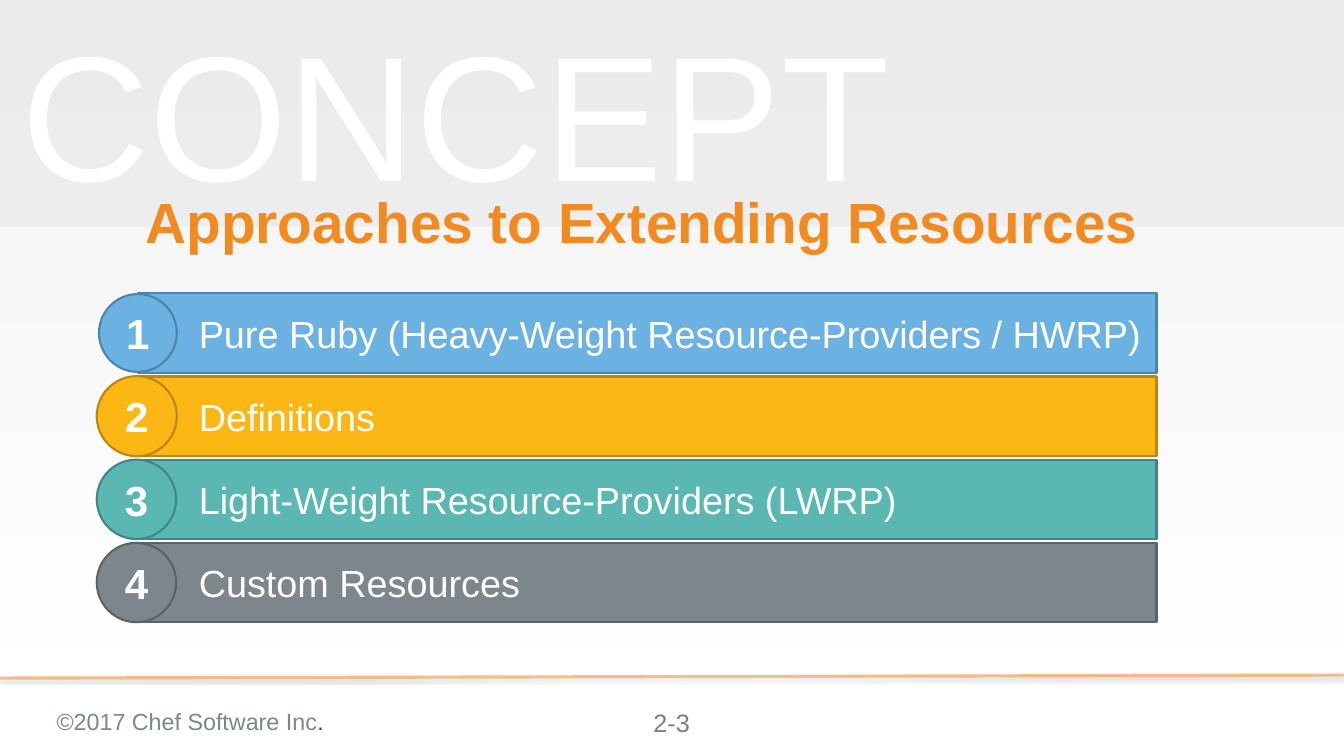
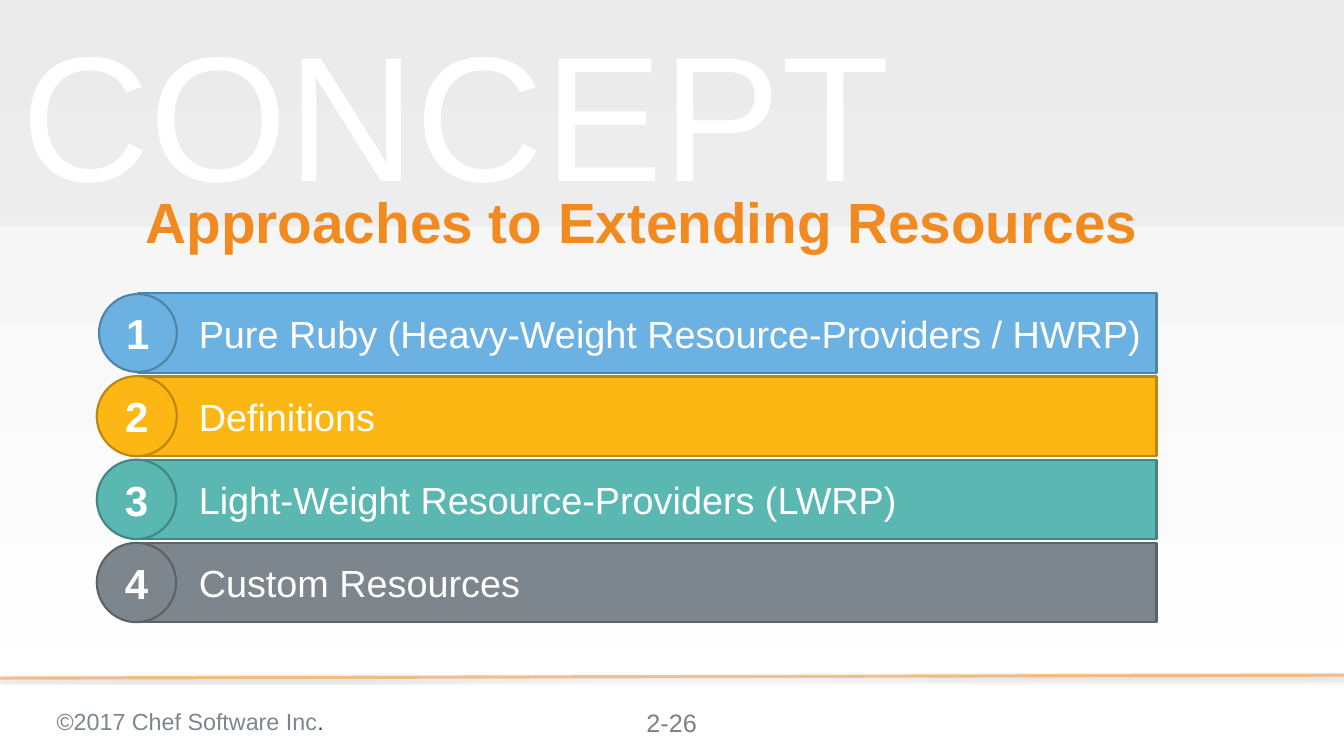
from lxml import etree
from pptx import Presentation
from pptx.dml.color import RGBColor
from pptx.enum import shapes, text
from pptx.oxml import ns
from pptx.util import Inches, Pt

FONT = "Arial"
WHITE = RGBColor(0xFF, 0xFF, 0xFF)
PALE = RGBColor(0xF2, 0xF2, 0xF2)
BAND = RGBColor(0xD9, 0xD9, 0xD9)
ORANGE = RGBColor(0xF1, 0x8B, 0x21)
BLUE = RGBColor(0x6B, 0xB2, 0xE2)
BLUE_EDGE = RGBColor(0x4F, 0x84, 0xA7)
YELLOW = RGBColor(0xFD, 0xB7, 0x14)
YELLOW_EDGE = RGBColor(0xBB, 0x87, 0x0F)
TEAL = RGBColor(0x5A, 0xB7, 0xB2)
TEAL_EDGE = RGBColor(0x43, 0x87, 0x84)
GREY = RGBColor(0x7D, 0x86, 0x8C)
GREY_EDGE = RGBColor(0x5C, 0x63, 0x68)
DARK = RGBColor(0x3E, 0x43, 0x46)
MID = RGBColor(0x7F, 0x7F, 0x7F)

LEFT = text.PP_ALIGN.LEFT
CENTER = text.PP_ALIGN.CENTER
TOP = text.MSO_ANCHOR.TOP
MIDDLE = text.MSO_ANCHOR.MIDDLE
RECTANGLE = shapes.MSO_SHAPE.RECTANGLE
OVAL = shapes.MSO_SHAPE.OVAL

WIDTH, HEIGHT = 17.78, 10
BAR_LEFT, BAR_TOP, BAR_WIDTH, BAR_HEIGHT, BAR_STEP = 1.83, 3.88, 13.47, 1.05, 1.1

APPROACHES = [
    ("Pure Ruby (Heavy-Weight Resource-Providers / HWRP)", BLUE, BLUE_EDGE, 1.31, 1.03),
    ("Definitions", YELLOW, YELLOW_EDGE, 1.28, 1.06),
    ("Light-Weight Resource-Providers (LWRP)", TEAL, TEAL_EDGE, 1.28, 1.05),
    ("Custom Resources", GREY, GREY_EDGE, 1.28, 1.05),
]


def add_element(parent, tag, **attributes):
    values = {name: str(value) for name, value in attributes.items()}
    return etree.SubElement(parent, ns.qn(tag), values)


def set_opacity(parent, percent):
    color = next(parent.iter(ns.qn("a:srgbClr")))
    add_element(color, "a:alpha", val=percent * 1000)


class ConceptDeck:
    def __init__(self):
        self.deck = Presentation()
        self.deck.slide_width = Inches(WIDTH)
        self.deck.slide_height = Inches(HEIGHT)
        self.page = None

    def start_page(self, number):
        self.page = self.deck.slides.add_slide(self.deck.slide_layouts[6])
        fill = self.page.background.fill
        fill.gradient()
        fill.gradient_angle = 270
        for stop, position, color in zip(fill.gradient_stops, (0, 1), (PALE, WHITE)):
            stop.position = position
            stop.color.rgb = color
        self.footer_line()
        self.label((0.65, 9.25, 5.9, 0.52),
                   [("©2017 Chef Software Inc", GREY), (".", DARK)], 22.2)
        self.label((8.1, 9.25, 1.57, 0.57), [(number, MID)], 24, align=CENTER)
        band = self.shape(RECTANGLE, (0, 0, WIDTH, 3), BAND)
        set_opacity(band._element.spPr, 25)
        self.watchword("CONCEPT")

    def fill_text(self, box, spans, size, bold=False, align=LEFT, anchor=TOP,
                  insets=(0.1, 0.1, 0.1, 0.1)):
        frame = box.text_frame
        frame.word_wrap = True
        frame.vertical_anchor = anchor
        (frame.margin_left, frame.margin_top,
         frame.margin_right, frame.margin_bottom) = map(Inches, insets)
        para = frame.paragraphs[0]
        para.alignment = align
        para.font.name = FONT
        para.font.size = Pt(size)
        para.font.bold = bold
        for words, color in spans:
            span = para.add_run()
            span.text = words
            span.font.color.rgb = color
        return para

    def label(self, place, spans, size, **style):
        box = self.page.shapes.add_textbox(*map(Inches, place))
        return self.fill_text(box, spans, size, **style)

    def shape(self, kind, place, color, edge=None):
        box = self.page.shapes.add_shape(kind, *map(Inches, place))
        box.shadow.inherit = False
        box.fill.solid()
        box.fill.fore_color.rgb = color
        if edge is None:
            box.line.fill.background()
        else:
            box.line.color.rgb = edge
            box.line.width = Pt(2)
        return box

    def footer_line(self):
        line = self.page.shapes.add_connector(
            shapes.MSO_CONNECTOR.STRAIGHT,
            *map(Inches, (WIDTH, 8.93, 0, 8.97)))
        line.line.color.rgb = ORANGE
        line.line.width = Pt(3)
        properties = line._element.spPr
        set_opacity(properties, 50)
        effects = add_element(properties, "a:effectLst")
        shadow = add_element(effects, "a:outerShdw", blurRad=Pt(3.1), dist=Pt(1.8),
                             dir=90 * 60000, rotWithShape=0)
        add_element(shadow, "a:srgbClr", val="000000")
        set_opacity(shadow, 35)

    def watchword(self, word):
        para = self.label((0.15, 0.16, 12.64, 2.6), [(word, PALE)], 169.3,
                          anchor=MIDDLE, insets=(0.13,) * 4)
        properties = para.runs[0]._r.get_or_add_rPr()
        set_opacity(properties, 50)
        outline = add_element(properties, "a:ln", w=Pt(1.45))
        add_element(add_element(outline, "a:solidFill"), "a:srgbClr", val=WHITE)
        properties.insert(0, outline)

    def title(self, words):
        para = self.label((BAR_LEFT, 2.51, BAR_WIDTH, 0.93), [(words, ORANGE)], 54,
                          bold=True, anchor=MIDDLE)
        para.line_spacing = 0.9

    def approach(self, index, words, color, edge, badge_left, badge_size):
        top = BAR_TOP + index * BAR_STEP
        bar = self.shape(RECTANGLE, (BAR_LEFT, top, BAR_WIDTH, BAR_HEIGHT), color, edge)
        self.fill_text(bar, [(words, WHITE)], 36, anchor=MIDDLE,
                       insets=(0.8, 0.1, 0.1, 0.1))
        badge_top = top + (BAR_HEIGHT - badge_size) / 2
        badge = self.shape(OVAL, (badge_left, badge_top, badge_size, badge_size), color, edge)
        self.fill_text(badge, [(str(index + 1), WHITE)], 40, bold=True, align=CENTER,
                       anchor=MIDDLE, insets=(0.1, 0.05, 0.1, 0.05))


def main():
    concept = ConceptDeck()
    for number in ("2-3", "2-26"):
        concept.start_page(number)
        concept.title("Approaches to Extending Resources")
        for index, approach in enumerate(APPROACHES):
            concept.approach(index, *approach)
    concept.deck.save("out.pptx")


if __name__ == "__main__":
    main()
